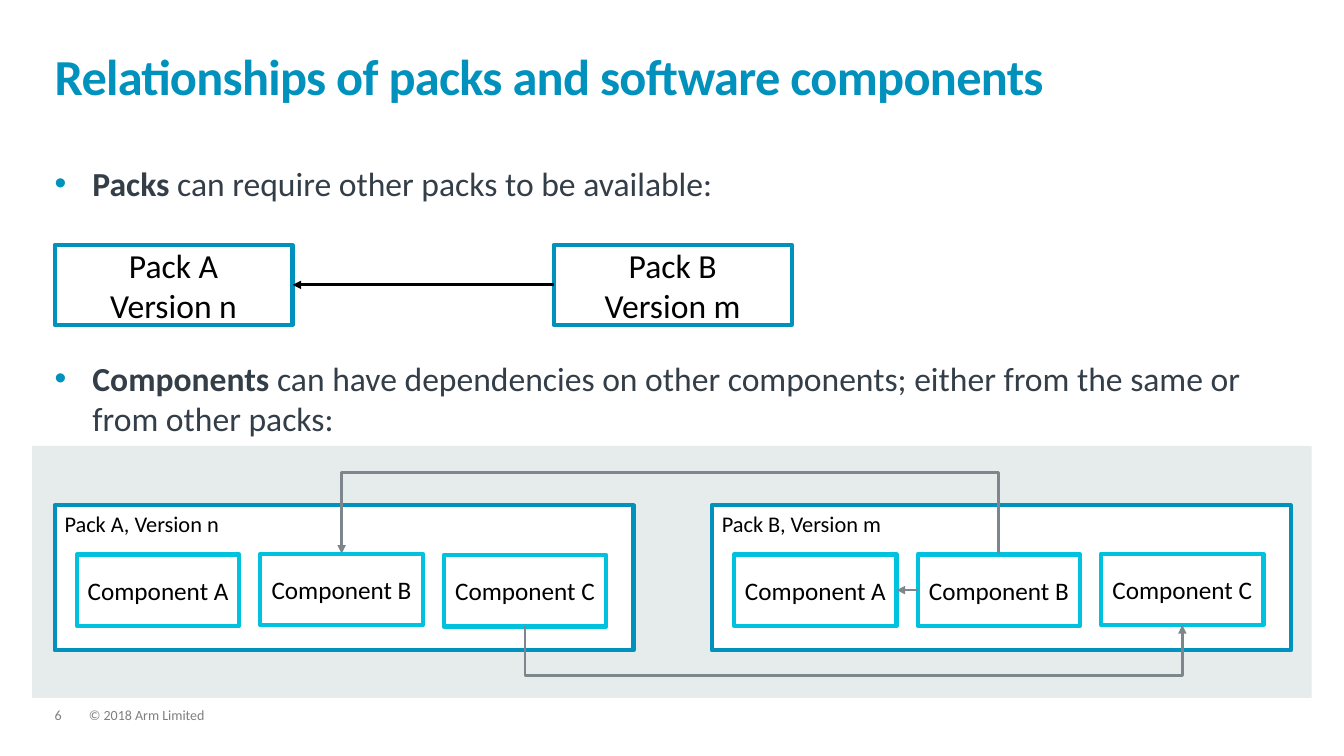
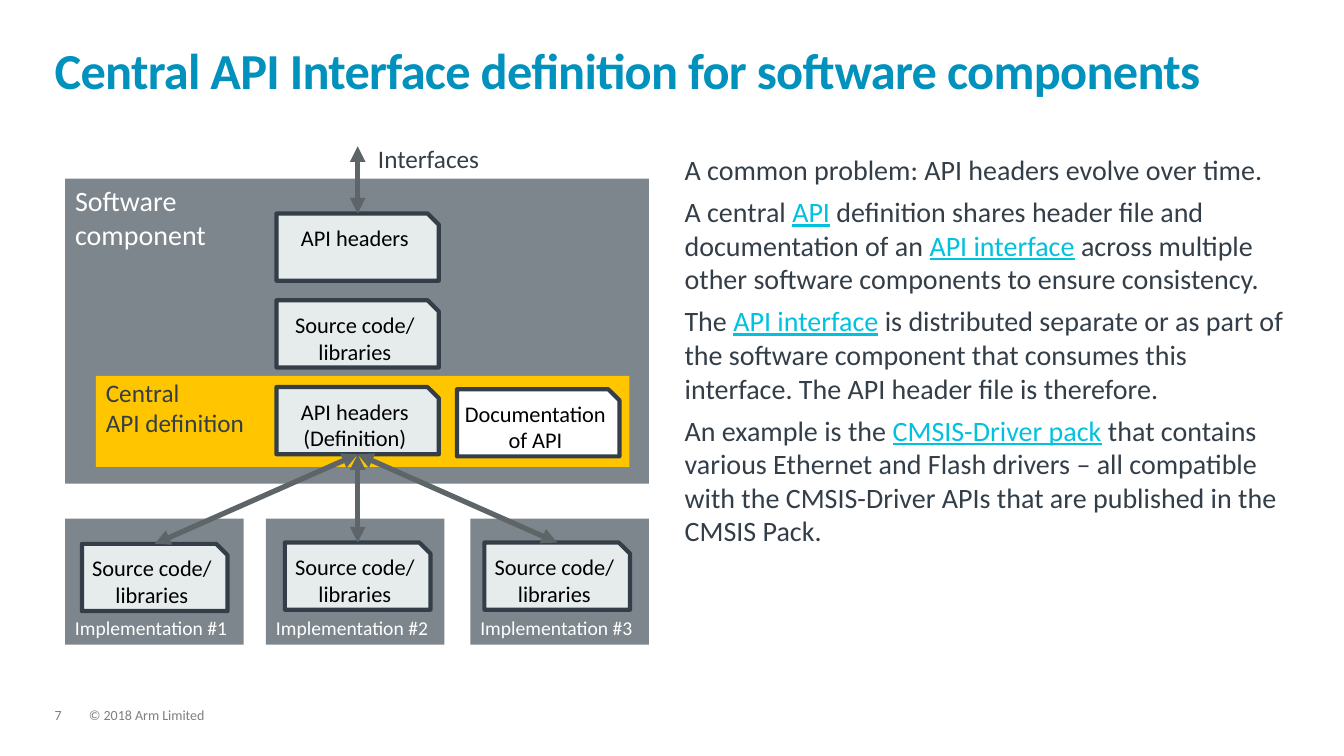
"""Build two slides on software packs, components and API definitions."""
import dataclasses
import typing

import lxml.etree
import pptx
import pptx.dml.color
import pptx.enum.shapes
import pptx.enum.text
import pptx.oxml.ns
import pptx.util

Pt = pptx.util.Pt
qn = pptx.oxml.ns.qn
Shapes = pptx.enum.shapes.MSO_SHAPE
Connectors = pptx.enum.shapes.MSO_CONNECTOR
Anchor = pptx.enum.text.MSO_ANCHOR
Align = pptx.enum.text.PP_ALIGN

FONT = "Calibri"
BLUE, CYAN, SLATE, GREY = "0091BD", "00C1DE", "333E48", "7D868C"
PALE, YELLOW, WHITE, BLACK = "E5ECEB", "FFC600", "FFFFFF", "000000"
ARROW_GREY, FOOTER_GREY = "5D6569", "7F7F7F"
TOP, LEFT, BOTTOM, RIGHT = range(4)
NO_INSETS = (0, 0, 0, 0)
BOX_INSETS = (7.2, 3.6, 7.2, 3.6)
MARGIN, CONTENT_WIDTH = 39, 880.5


@dataclasses.dataclass(frozen=True)
class Frame:
    """Position and size in points."""
    left: float
    top: float
    width: float
    height: float

    def lengths(self) -> tuple:
        """Return the four values as lengths."""
        return tuple(Pt(value) for value in dataclasses.astuple(self))


@dataclasses.dataclass(frozen=True)
class BoxStyle:
    """Look of a box and its text."""
    size: float = 16
    text: str = BLACK
    fill: typing.Optional[str] = None
    line: typing.Optional[str] = None
    geometry: typing.Any = Shapes.RECTANGLE
    anchor: typing.Any = Anchor.TOP
    align: typing.Any = Align.LEFT
    insets: tuple = BOX_INSETS


@dataclasses.dataclass(frozen=True)
class Body:
    """Body list whose odd-numbered text pieces are emphasised."""
    frame: Frame
    paragraphs: tuple
    size: float
    emphasis: dict
    emphasis_colour: str
    space_before: float
    indent: float = 0


PACK = BoxStyle(24, line=BLUE, anchor=Anchor.MIDDLE, align=Align.CENTER)
PACK_AREA = BoxStyle(fill=WHITE, line=BLUE)
COMPONENT = BoxStyle(18, line=CYAN, anchor=Anchor.MIDDLE, align=Align.CENTER)
FILE = BoxStyle(fill=PALE, line=SLATE, geometry=Shapes.SNIP_1_RECTANGLE,
                align=Align.CENTER, insets=(2.9, 3.6, 2.9, 3.6))
DOCUMENT = dataclasses.replace(FILE, fill=WHITE)
IMPLEMENTATION = BoxStyle(14, WHITE, GREY, anchor=Anchor.BOTTOM)
SOFTWARE = BoxStyle(20, WHITE, GREY)
CENTRAL = BoxStyle(18, SLATE, YELLOW, insets=(7.2, 1, 7.2, 0))


def colour(value: str) -> pptx.dml.color.RGBColor:
    """Turn a hex string into a colour."""
    return pptx.dml.color.RGBColor.from_string(value)


def apply(target: typing.Any, values: dict) -> None:
    """Set each named attribute on the target."""
    for name, value in values.items():
        setattr(target, name, value)


def format_font(font: typing.Any, size: float, shade: str, **values: typing.Any) -> None:
    """Give a font its face, size, colour and further values."""
    apply(font, {"name": FONT, "size": Pt(size), **values})
    font.color.rgb = colour(shade)


def prepare_frame(text_frame: typing.Any, insets: tuple, anchor: typing.Any) -> None:
    """Set the wrapping, insets and anchor of a text frame."""
    sides = ("margin_left", "margin_top", "margin_right", "margin_bottom")
    apply(text_frame, {
        "word_wrap": True, "auto_size": pptx.enum.text.MSO_AUTO_SIZE.NONE,
        "vertical_anchor": anchor,
        **{side: Pt(inset) for side, inset in zip(sides, insets)}})


def place(shape: typing.Any, frame: Frame) -> None:
    """Move and size a shape."""
    apply(shape, dict(zip(("left", "top", "width", "height"), frame.lengths())))


def add_box(slide: typing.Any, frame: Frame, style: BoxStyle, *lines: str) -> typing.Any:
    """Draw a box with one paragraph for each line."""
    shape = slide.shapes.add_shape(style.geometry, *frame.lengths())
    shape.shadow.inherit = False
    if style.fill:
        shape.fill.solid()
        shape.fill.fore_color.rgb = colour(style.fill)
    else:
        shape.fill.background()
    if style.line:
        shape.line.color.rgb = colour(style.line)
        shape.line.width = Pt(3)
    else:
        shape.line.fill.background()
    prepare_frame(shape.text_frame, style.insets, style.anchor)
    if lines:
        shape.text_frame.text = "\n".join(lines)
        for paragraph in shape.text_frame.paragraphs:
            paragraph.alignment = style.align
            format_font(paragraph.font, style.size, style.text)
    return shape


def add_label(slide: typing.Any, frame: Frame, text: str, size: float, shade: str) -> None:
    """Write a plain label without insets."""
    text_frame = slide.shapes.add_textbox(*frame.lengths()).text_frame
    prepare_frame(text_frame, NO_INSETS, Anchor.TOP)
    paragraph = text_frame.paragraphs[0]
    paragraph.text = text
    paragraph.line_spacing = 0.9
    format_font(paragraph.font, size, shade)


def style_connector(connector: typing.Any, shade: str, width: float, both_ends: bool) -> None:
    """Give a connector its line and arrowheads."""
    connector.line.color.rgb = colour(shade)
    connector.line.width = Pt(width)
    properties = connector.element.spPr
    line = properties.find(qn("a:ln"))
    for end in ("a:headEnd", "a:tailEnd")[0 if both_ends else 1:]:
        lxml.etree.SubElement(line, qn(end), type="triangle")
    lxml.etree.SubElement(properties, qn("a:effectLst"))


def join(slide: typing.Any, kind: typing.Any, start: typing.Any, start_side: int,
         end: typing.Any, end_side: int) -> typing.Any:
    """Connect the sides of two shapes."""
    connector = slide.shapes.add_connector(kind, 0, 0, 0, 0)
    connector.begin_connect(start, start_side)
    connector.end_connect(end, end_side)
    return connector


def add_arrow(slide: typing.Any, start: typing.Any, start_side: int, end: typing.Any,
              end_side: int, shade: str, width: float = 2, both_ends: bool = False) -> None:
    """Draw a straight arrow between two shapes."""
    connector = join(slide, Connectors.STRAIGHT, start, start_side, end, end_side)
    style_connector(connector, shade, width, both_ends)


def add_rail_arrow(slide: typing.Any, start: typing.Any, end: typing.Any,
                   side: int, rail: float) -> None:
    """Draw an elbow arrow along a horizontal rail, from the lower to the higher end."""
    connector = join(slide, Connectors.ELBOW, start, side, end, side)
    start_x, start_y = connector.begin_x.pt, connector.begin_y.pt
    end_x, end_y = connector.end_x.pt, connector.end_y.pt
    drop, span = start_y - end_y, abs(end_x - start_x)
    place(connector, Frame((start_x + end_x - drop) / 2,
                           (start_y + end_y - span) / 2, drop, span))
    rightward = end_x > start_x
    transform = connector.element.spPr.find(qn("a:xfrm"))
    for name, value in {"rot": (90 if rightward else 270) * 60000,
                        "flipH": int(rightward), "flipV": 1}.items():
        transform.set(name, str(value))
    adjustments = connector.element.spPr.find(qn("a:prstGeom")).get_or_add_avLst()
    ratio = round((start_y - rail) / drop * 100000)
    lxml.etree.SubElement(adjustments, qn("a:gd"), name="adj1", fmla=f"val {ratio}")
    style_connector(connector, GREY, 2, False)


def set_bullet(paragraph: typing.Any, indent: float) -> None:
    """Give a paragraph a hanging bullet, or none when there is no indent."""
    properties = paragraph._p.get_or_add_pPr()
    properties.set("marL", str(Pt(indent)))
    properties.set("indent", str(Pt(-indent)))
    if not indent:
        lxml.etree.SubElement(properties, qn("a:buNone"))
        return
    shade = lxml.etree.SubElement(properties, qn("a:buClr"))
    lxml.etree.SubElement(shade, qn("a:srgbClr"), val=BLUE)
    lxml.etree.SubElement(properties, qn("a:buFont"), typeface="Arial")
    lxml.etree.SubElement(properties, qn("a:buChar"), char="•")


def fill_body(placeholder: typing.Any, body: Body) -> None:
    """Write the body list into its placeholder."""
    place(placeholder, body.frame)
    text_frame = placeholder.text_frame
    prepare_frame(text_frame, NO_INSETS, Anchor.TOP)
    for number, pieces in enumerate(body.paragraphs):
        paragraph = text_frame.add_paragraph() if number else text_frame.paragraphs[0]
        set_bullet(paragraph, body.indent)
        paragraph.space_before = Pt(body.space_before if number else 0)
        for position, text in enumerate(pieces):
            run = paragraph.add_run()
            run.text = text
            if position % 2:
                format_font(run.font, body.size, body.emphasis_colour, **body.emphasis)
            else:
                format_font(run.font, body.size, SLATE)


def add_slide(presentation: typing.Any, number: int, title: str, title_top: float,
              body: Body) -> typing.Any:
    """Add a slide with its title, body and footer."""
    slide = presentation.slides.add_slide(presentation.slide_layouts[1])
    heading = slide.shapes.title
    place(heading, Frame(MARGIN, title_top, CONTENT_WIDTH, 52.5))
    prepare_frame(heading.text_frame, NO_INSETS, Anchor.BOTTOM)
    paragraph = heading.text_frame.paragraphs[0]
    apply(paragraph, {"alignment": Align.LEFT, "line_spacing": 0.85})
    run = paragraph.add_run()
    run.text = title
    format_font(run.font, 36, BLUE, bold=True)
    run._r.get_or_add_rPr().set("spc", "-50")
    fill_body(slide.placeholders[1], body)
    add_label(slide, Frame(MARGIN, 506, 24, 11), str(number), 10, FOOTER_GREY)
    add_label(slide, Frame(63.5, 506, 657, 11), "© 2018 Arm Limited", 10, FOOTER_GREY)
    return slide


def build_relationships(presentation: typing.Any) -> None:
    """Show how packs and components depend on one another."""
    body = Body(Frame(MARGIN, 116.5, CONTENT_WIDTH, 322), (
        ("", "Packs", " can require other packs to be available:"),
        ("", "Components", " can have dependencies on other components; "
         "either from the same or from other packs:"),
    ), 24, {"bold": True}, SLATE, 110, 27)
    slide = add_slide(presentation, 6, "Relationships of packs and software components", 23, body)
    band = add_box(slide, Frame(23, 318.5, 914, 180), BoxStyle(fill=PALE))
    slide.shapes._spTree.insert(2, band.element)
    pack_a, pack_b = (
        add_box(slide, Frame(left, 175, 170, 57), PACK, f"Pack {name}", f"Version {version}")
        for left, name, version in ((MARGIN, "A", "n"), (395.5, "B", "m")))
    add_arrow(slide, pack_b, LEFT, pack_a, RIGHT, BLACK)
    components = {}
    for left, pack, version, tops in ((MARGIN, "A", "n", (396, 395.5, 396.5)),
                                      (508.5, "B", "m", (396, 396, 395.5))):
        add_box(slide, Frame(left, 361, 413.5, 103.5), PACK_AREA, f"Pack {pack}, Version {version}")
        for column, (name, top) in enumerate(zip("ABC", tops)):
            frame = Frame(left + 16 + 131 * column, top, 116, 51)
            components[pack + name] = add_box(slide, frame, COMPONENT, f"Component {name}")
    add_rail_arrow(slide, components["BB"], components["AB"], TOP, 338.5)
    add_rail_arrow(slide, components["AC"], components["BC"], BOTTOM, 483)
    add_arrow(slide, components["BB"], LEFT, components["BA"], RIGHT, GREY)


def build_central_api(presentation: typing.Any) -> None:
    """Show the central API definition and its implementations."""
    body = Body(Frame(489, 109, 438.5, 318), (
        ("A common problem: API headers evolve over time.",),
        ("A central ", "API", " definition shares header file and documentation of an ",
         "API interface",
         " across multiple other software components to ensure consistency."),
        ("The ", "API interface", " is distributed separate or as part of the software "
         "component that consumes this interface. The API header file is therefore."),
        ("An example is the ", "CMSIS-Driver pack", " that contains various Ethernet and "
         "Flash drivers – all compatible with the CMSIS-Driver APIs that are published "
         "in the CMSIS Pack."),
    ), 20, {"underline": True}, CYAN, 6)
    slide = add_slide(presentation, 7, "Central API Interface definition for software components",
                      19, body)
    add_box(slide, Frame(46.5, 127.5, 417, 218), SOFTWARE, "Software", "component")
    add_box(slide, Frame(68.5, 268.5, 381, 65), CENTRAL, "Central", "API definition")
    headers, _, definition = (
        add_box(slide, Frame(197.5, 152.5 + 62 * row, 116, 48), FILE, *lines)
        for row, lines in enumerate((("API headers",), ("Source code/", "libraries"),
                                     ("API headers", "(Definition)"))))
    add_box(slide, Frame(326.5, 278, 116, 48), DOCUMENT, "Documentation", "of API")
    interface = slide.shapes.add_connector(
        Connectors.STRAIGHT, Pt(255.5), Pt(152.5), Pt(255.5), Pt(104.5))
    interface.begin_connect(headers, TOP)
    style_connector(interface, ARROW_GREY, 3.75, True)
    add_label(slide, Frame(270, 104.5, 88, 19.5), "Interfaces", 18, SLATE)
    for number, (left, file_left, file_top) in enumerate(
            ((46.5, 58.5, 388.5), (190, 203.5, 387.5), (336, 346, 387.5)), 1):
        add_box(slide, Frame(left, 370.5, 127.5, 90), IMPLEMENTATION, f"Implementation #{number}")
        source = add_box(slide, Frame(file_left, file_top, 104, 48), FILE,
                         "Source code/", "libraries")
        add_arrow(slide, source, TOP, definition, BOTTOM, ARROW_GREY, 3.75, True)


def main() -> None:
    """Build and save the presentation."""
    presentation = pptx.Presentation()
    apply(presentation, {"slide_width": Pt(960), "slide_height": Pt(540)})
    build_relationships(presentation)
    build_central_api(presentation)
    presentation.save("out.pptx")


if __name__ == "__main__":
    main()
